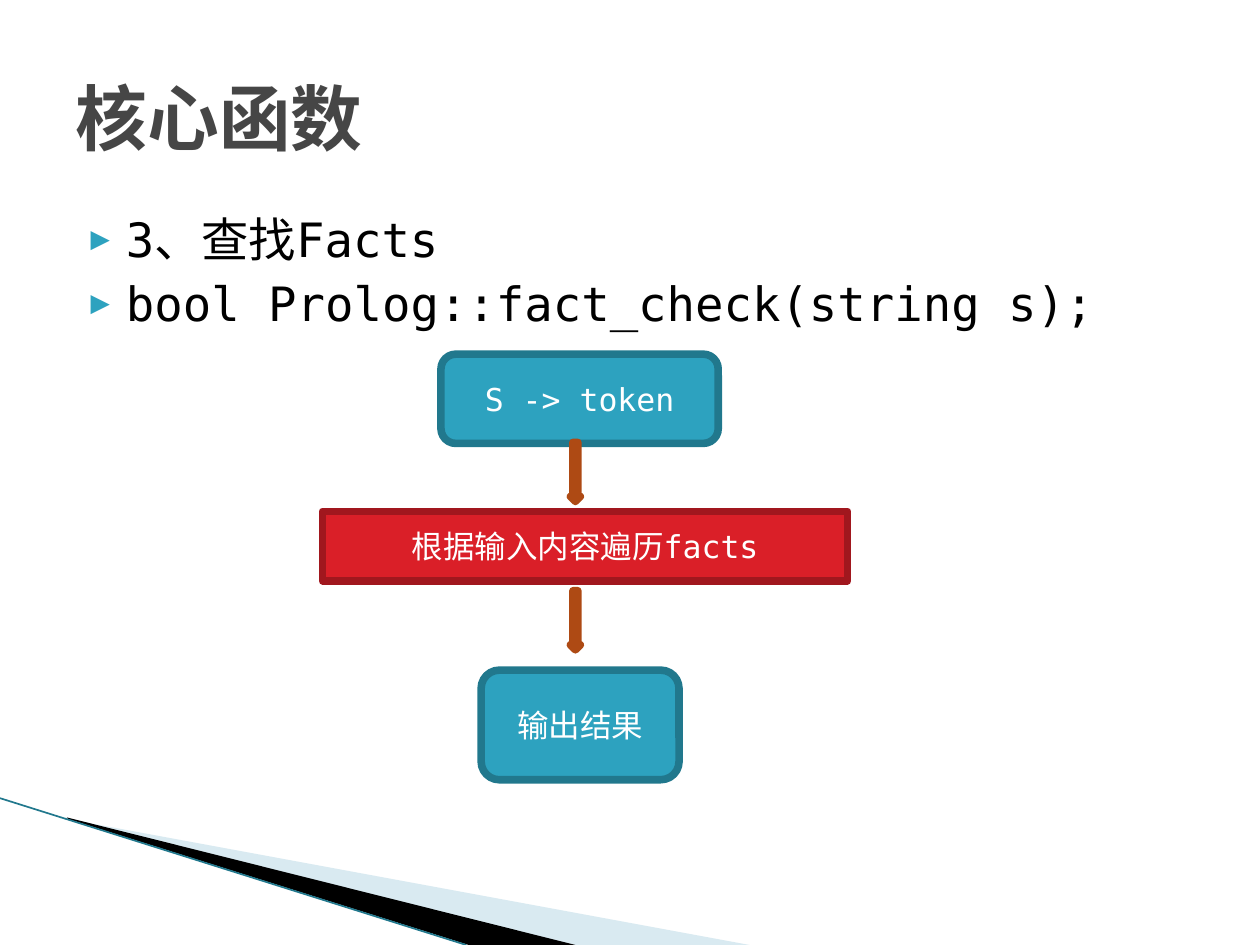
from lxml import etree
from pptx import Presentation
from pptx.dml.color import RGBColor
from pptx.enum.shapes import MSO_CONNECTOR, MSO_SHAPE
from pptx.enum.text import MSO_ANCHOR, PP_ALIGN
from pptx.oxml.ns import qn
from pptx.util import Cm, Pt

ROUND, RECT, DOWN = MSO_SHAPE.ROUNDED_RECTANGLE, MSO_SHAPE.RECTANGLE, MSO_SHAPE.DOWN_ARROW
LEFT, CENTER = PP_ALIGN.LEFT, PP_ALIGN.CENTER
TOP, MIDDLE = MSO_ANCHOR.TOP, MSO_ANCHOR.MIDDLE
FONT = "DejaVu Sans Mono"

BLACK = RGBColor(0x00, 0x00, 0x00)
WHITE = RGBColor(0xFF, 0xFF, 0xFF)
GREY = RGBColor(0x46, 0x46, 0x46)
TEAL = RGBColor(0x2D, 0xA2, 0xBF)
DARK_TEAL = RGBColor(0x21, 0x78, 0x8D)
RED = RGBColor(0xDA, 0x1F, 0x28)
DARK_RED = RGBColor(0xA1, 0x17, 0x1E)
ORANGE = RGBColor(0xEB, 0x64, 0x1B)
DARK_ORANGE = RGBColor(0xAE, 0x4A, 0x14)
PALE_BLUE = RGBColor(0xA0, 0xCB, 0xDC)

# Content, lengths in cm
TITLE = "核心函数"
BULLETS = ["3、查找Facts", "bool Prolog::fact_check(string s);"]
STEPS = [  # text, shape, box, fill, line
    ("S -> token", ROUND, (8.89, 7.14, 5.59, 1.8), TEAL, DARK_TEAL),
    ("根据输入内容遍历facts", RECT, (6.5, 10.31, 10.59, 1.4), RED, DARK_RED),
    ("输出结果", ROUND, (9.7, 13.51, 3.99, 2.21), TEAL, DARK_TEAL),
]
ARROW_TOPS = [8.92, 11.91]
WEDGES = [  # points, fill, opacity in percent
    ([(1.4, 16.52), (15.11, 19.05), (11.58, 19.05), (1.4, 16.51)], PALE_BLUE, 40),
    ([(1.35, 16.48), (11.6, 19.05), (9.45, 19.05), (1.37, 16.51)], BLACK, 100),
]
EDGE = (0, 16.09, 9.4, 19.05)


def cm(values):
    return [Cm(v) for v in values]


def write(tf, lines, size, color, bold=False, align=LEFT, anchor=TOP, before=0):
    tf.word_wrap = True
    tf.vertical_anchor = anchor
    for i, line in enumerate(lines):
        p = tf.paragraphs[0] if i == 0 else tf.add_paragraph()
        p.alignment, p.space_before = align, Pt(before)
        r = p.add_run()
        r.text = line
        r.font.size, r.font.bold, r.font.name = Pt(size), bold, FONT
        r.font.color.rgb = color
        etree.SubElement(r.font._element, qn("a:ea"), typeface=FONT)


def add_bullet(p):
    pPr = p._p.get_or_add_pPr()
    pPr.set("marL", str(Cm(1.02)))
    pPr.set("indent", str(Cm(-0.71)))
    clr = etree.SubElement(pPr, qn("a:buClr"))
    etree.SubElement(clr, qn("a:srgbClr"), val=str(TEAL))
    etree.SubElement(pPr, qn("a:buSzPct"), val="68000")
    etree.SubElement(pPr, qn("a:buFont"), typeface=FONT)
    etree.SubElement(pPr, qn("a:buChar"), char="▶")


def add_block(shape, box, fill, line):
    sp = s.shapes.add_shape(shape, *cm(box))
    sp.shadow.inherit = False
    sp.fill.solid()
    sp.fill.fore_color.rgb = fill
    sp.line.color.rgb = line
    sp.line.width = Pt(4.33)
    return sp


prs = Presentation()
prs.slide_width, prs.slide_height = Cm(25.4), Cm(19.05)
s = prs.slides.add_slide(prs.slide_layouts[5])

# Corner decoration
for points, color, opacity in WEDGES:
    start, *rest = [cm(pt) for pt in points]
    builder = s.shapes.build_freeform(*start)
    builder.add_line_segments(rest)
    sp = builder.convert_to_shape()
    sp.shadow.inherit = False
    sp.fill.solid()
    sp.fill.fore_color.rgb = color
    sp.line.fill.background()
    if opacity < 100:
        clr = sp._element.spPr.find(".//" + qn("a:srgbClr"))
        etree.SubElement(clr, qn("a:alpha"), val=str(opacity * 1000))

edge = s.shapes.add_connector(MSO_CONNECTOR.STRAIGHT, *cm(EDGE))
edge.line.color.rgb = DARK_TEAL
edge.line.width = Pt(0.95)
etree.SubElement(edge._element.spPr, qn("a:effectLst"))

# Title and bullets
title = s.shapes.title
title.left, title.top, title.width, title.height = cm((1.27, 0.76, 22.86, 3.18))
write(title.text_frame, [TITLE], 41, GREY, bold=True, anchor=MIDDLE)

body = s.shapes.add_textbox(*cm((1.27, 4.11, 22.86, 12.57)))
write(body.text_frame, BULLETS, 27, BLACK, before=4)
for p in body.text_frame.paragraphs:
    add_bullet(p)

# Flow chart
for text, shape, box, fill, line in STEPS:
    sp = add_block(shape, box, fill, line)
    write(sp.text_frame, [text], 18, WHITE, align=CENTER, anchor=MIDDLE)
for top in ARROW_TOPS:
    add_block(DOWN, (11.5, top, 0.2, 1.19), ORANGE, DARK_ORANGE)

prs.save("out.pptx")
